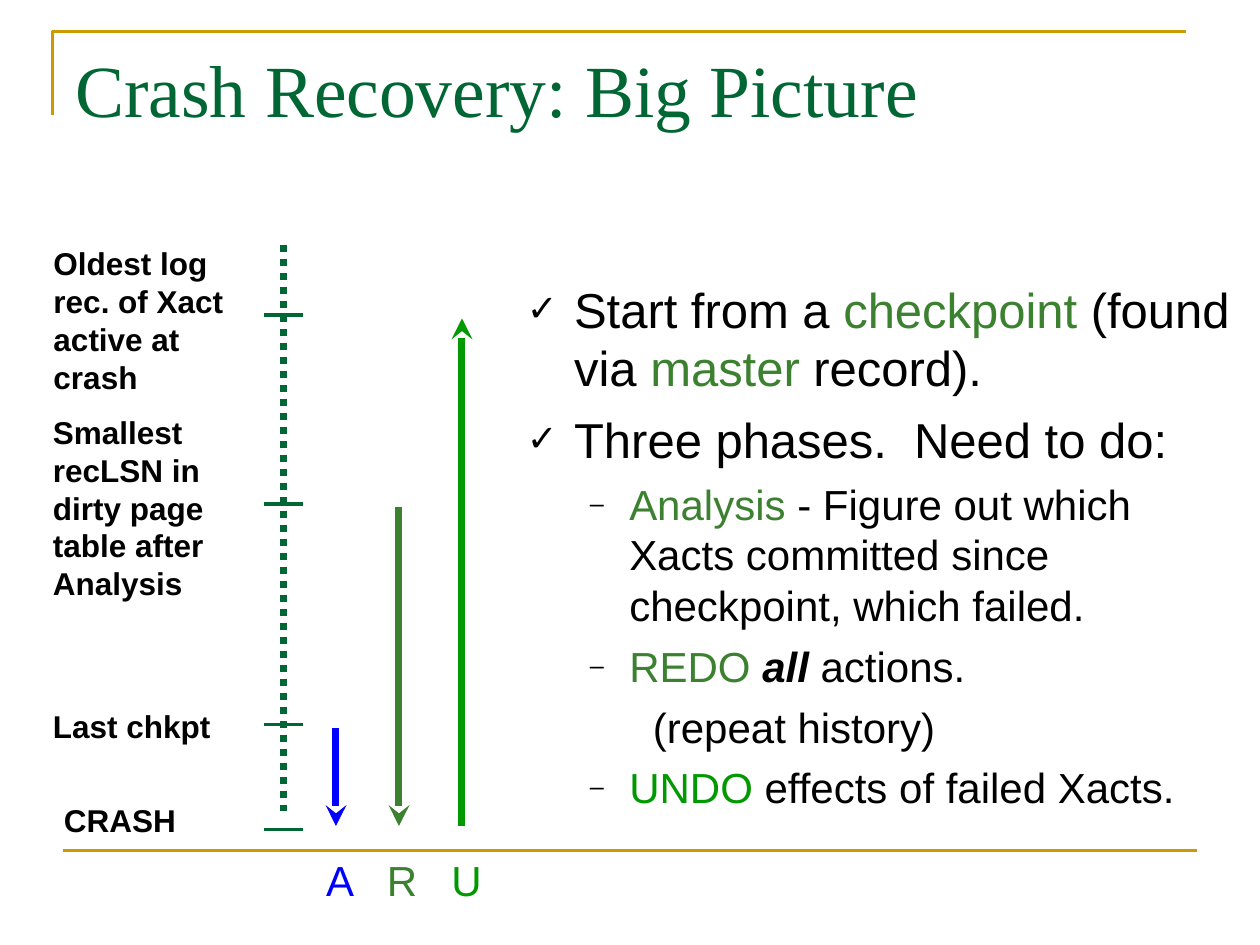
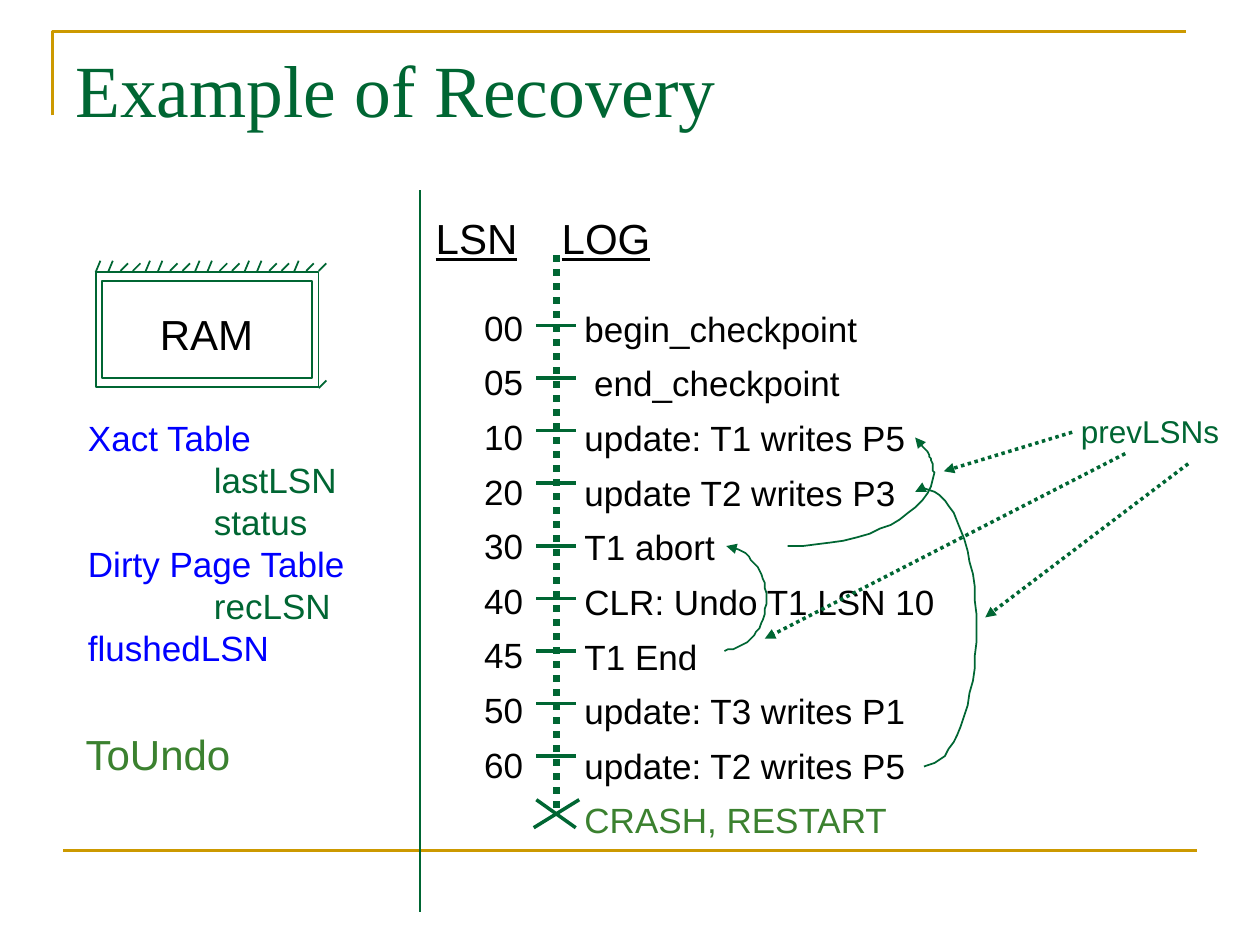
from dataclasses import dataclass, field

from lxml import etree
from pptx import Presentation
from pptx.dml.color import RGBColor
from pptx.enum.dml import MSO_LINE
from pptx.enum.shapes import MSO_CONNECTOR, MSO_SHAPE
from pptx.enum.text import MSO_ANCHOR, PP_ALIGN
from pptx.oxml.ns import qn
from pptx.util import Pt

STRAIGHT = MSO_CONNECTOR.STRAIGHT
RECTANGLE = MSO_SHAPE.RECTANGLE
DOTTED = MSO_LINE.ROUND_DOT
TOP = MSO_ANCHOR.TOP
RIGHT = PP_ALIGN.RIGHT


@dataclass(frozen=True)
class Theme:
    gold: str = "CC9900"
    green: str = "006633"
    leaf: str = "3B812F"
    bright: str = "009900"
    blue: str = "0000FF"
    black: str = "000000"
    body_font: str = "Arial"
    title_font: str = "Times New Roman"
    title: int = 42
    lead: int = 28
    large: int = 24
    normal: int = 20
    label: int = 18


THEME = Theme()


@dataclass
class Line:
    """One paragraph: runs are (text, font formats); lengths are in points."""
    runs: list
    formats: dict = field(default_factory=dict)
    left: float = 0
    hanging: float = 0
    bullet: str = ""
    bullet_percent: int = 100
    tab: float = 0


def add_element(parent, tag, **attributes):
    return etree.SubElement(parent, qn(tag), attributes)


def curve_points(start, segments, steps=16):
    """Sample a chain of cubic Bezier segments."""
    points = [start]
    for first, second, end in segments:
        for step in range(1, steps + 1):
            t = step / steps
            weights = ((1 - t) ** 3, 3 * t * (1 - t) ** 2, 3 * t * t * (1 - t), t ** 3)
            corners = (start, first, second, end)
            points.append(tuple(sum(weight * corner[axis] for weight, corner in zip(weights, corners))
                                for axis in (0, 1)))
        start = end
    return points


class Deck:
    def __init__(self, theme):
        self.theme = theme
        self.presentation = Presentation()
        self.presentation.slide_width = Pt(720)
        self.presentation.slide_height = Pt(540)
        self.slide = None

    def new_slide(self, title):
        theme = self.theme
        self.slide = self.presentation.slides.add_slide(self.presentation.slide_layouts[6])
        self.outline([(30, 66), (30, 18), (678, 18)], theme.gold, 1.5)
        self.line((36, 486), (684, 486), theme.gold, 1.5)
        self.text((36, 21.6, 648, 90), [title], theme.title, theme.green, font=theme.title_font)

    def style_line(self, shape, color, width, dash=None, head=None, tail=None):
        shape.line.color.rgb = RGBColor.from_string(color)
        shape.line.width = Pt(width)
        if dash:
            shape.line.dash_style = dash
        for tag, arrow in (("a:headEnd", head), ("a:tailEnd", tail)):
            if arrow:
                add_element(shape.line._get_or_add_ln(), tag, type=arrow)

    def line(self, start, end, color, width, **style):
        connector = self.slide.shapes.add_connector(STRAIGHT, *map(Pt, start + end))
        self.style_line(connector, color, width, **style)
        add_element(connector._element.spPr, "a:effectLst")

    def outline(self, points, color, width, **style):
        builder = self.slide.shapes.build_freeform(*points[0], scale=Pt(1))
        builder.add_line_segments(points[1:], close=False)
        shape = builder.convert_to_shape()
        shape.shadow.inherit = False
        shape.fill.background()
        self.style_line(shape, color, width, **style)

    def frame(self, box, color, width):
        shape = self.slide.shapes.add_shape(RECTANGLE, *map(Pt, box))
        shape.shadow.inherit = False
        shape.fill.background()
        self.style_line(shape, color, width)

    def text(self, box, lines, size, color, wrap=True, font=None, bold=False, formats=None):
        """Lines are Line objects or plain strings; formats apply to every paragraph."""
        text_frame = self.slide.shapes.add_textbox(*map(Pt, box)).text_frame
        text_frame.word_wrap = wrap
        text_frame.vertical_anchor = TOP
        base = {"name": font or self.theme.body_font, "size": size, "bold": bold, "color": color}
        for index, line in enumerate(lines):
            if isinstance(line, str):
                line = Line([(line, {})])
            paragraph = text_frame.paragraphs[0] if index == 0 else text_frame.add_paragraph()
            for name, value in {**(formats or {}), **line.formats}.items():
                setattr(paragraph, name, value)
            self.indent(paragraph, line)
            for content, changes in line.runs:
                run = paragraph.add_run()
                run.text = content
                self.style_font(run.font, {**base, **changes})

    def indent(self, paragraph, line):
        properties = paragraph._p.get_or_add_pPr()
        properties.set("marL", str(Pt(line.left)))
        properties.set("indent", str(Pt(-line.hanging)))
        if line.bullet:
            add_element(add_element(properties, "a:buClr"), "a:srgbClr", val=self.theme.black)
            add_element(properties, "a:buSzPct", val=str(line.bullet_percent * 1000))
            add_element(properties, "a:buFont", typeface=self.theme.body_font)
            add_element(properties, "a:buChar", char=line.bullet)
        else:
            add_element(properties, "a:buNone")
        if line.tab:
            add_element(add_element(properties, "a:tabLst"), "a:tab", pos=str(Pt(line.tab)), algn="l")

    def style_font(self, font, values):
        for name, value in values.items():
            if name == "color":
                font.color.rgb = RGBColor.from_string(value)
            else:
                setattr(font, name, Pt(value) if name == "size" else value)


def build_big_picture(deck):
    theme = deck.theme
    deck.new_slide("Crash Recovery: Big Picture")
    leaf = {"color": theme.leaf}

    def point(*runs, **formats):
        return Line(list(runs), formats, 27, 27, "✓", 75)

    def phase(*runs):
        runs = [(content, {"size": theme.large, **changes}) for content, changes in runs]
        return Line(runs, {"space_before": Pt(6)}, 58.5, 22.5, "–", 60)

    deck.text((294, 156, 426, 321), [
        point(("Start from a ", {}), ("checkpoint", leaf), (" (found via ", {}),
              ("master", leaf), (" record).", {})),
        point(("Three phases.  Need to do:", {}), space_before=Pt(7)),
        phase(("Analysis", leaf),
              (" - Figure out which Xacts committed since checkpoint, which failed.", {})),
        phase(("REDO ", leaf), ("all", {"bold": True, "italic": True}), (" actions.", {})),
        Line([("(repeat history)", {"size": theme.large})], {"space_before": Pt(6)}, 72),
        phase(("UNDO", {"color": theme.bright}), (" effects of failed Xacts.", {})),
    ], theme.lead, theme.black)

    deck.line((162, 140), (162, 466), theme.green, 4, dash=DOTTED)
    for left, top, height, label in (
        (23.5, 136, 94, "Oldest log rec. of Xact active at crash"),
        (23.2, 232.5, 115, "Smallest recLSN in dirty page table after Analysis"),
        (23.2, 400.5, 29, "Last chkpt"),
        (29.5, 454, 29, "CRASH"),
    ):
        deck.text((left, top, 132.5, height), [label], theme.label, theme.black, bold=True)
    for tick in (180, 288, 414, 474):
        deck.line((151, tick), (173, tick), theme.green, 2)

    for letter, x, top, left, color, arrow in (
        ("A", 192, 416, 179.3, theme.blue, "tail"),
        ("R", 228, 290, 214, theme.leaf, "tail"),
        ("U", 264, 182, 250.8, theme.bright, "head"),
    ):
        deck.line((x, top), (x, 472), color, 4, **{arrow: "stealth"})
        deck.text((left, 484.6, 31, 36), [letter], theme.large, color, wrap=False)


def draw_memory(deck):
    theme = deck.theme
    deck.text((84.3, 172.8, 67.7, 36), ["RAM"], theme.large, theme.black, wrap=False)
    deck.frame((54.7, 155.5, 127.4, 65.5), theme.green, 1)
    deck.frame((58.3, 160.6, 120.2, 55.4), theme.green, 1)
    for index, stroke in enumerate("ssffssffssffssffsff"):
        x = 54.7 + 7.08 * index
        if stroke == "s":
            deck.line((x, 155.5), (x + 2.7, 149), theme.green, 1)
        else:
            deck.line((x, 154.8), (x + 4.3, 150.5), theme.green, 1)
    deck.line((182.1, 221.8), (186.5, 217.4), theme.green, 1)

    def entry(content):
        return Line([(content, {"color": theme.green})], left=72)

    deck.text((43.2, 234.7, 163.4, 175), [
        "Xact Table", entry("lastLSN"), entry("status"),
        "Dirty Page Table", entry("recLSN"), "flushedLSN",
    ], theme.normal, theme.blue, wrap=False)
    deck.text((41.8, 412.6, 99.4, 36), ["ToUndo"], theme.large, theme.leaf, wrap=False)


def draw_log(deck):
    theme = deck.theme
    rows = {"line_spacing": 1.3}
    deck.text((326.9, 164.9, 214.6, 319), [
        "begin_checkpoint",
        Line([("end_checkpoint", {})], left=5.56),
        "update: T1 writes P5", "update T2 writes P3", "T1 abort",
        "CLR: Undo T1 LSN 10", "T1 End", "update: T3 writes P1", "update: T2 writes P5",
        Line([("CRASH, RESTART", {"color": theme.leaf})]),
    ], theme.normal, theme.black, wrap=False, formats=rows)
    deck.text((241.9, 164.2, 64.1, 288), ["00", "05", "10", "20", "30", "40", "45", "50", "60"],
              theme.normal, theme.black, formats={**rows, "alignment": RIGHT})
    deck.text((241.9, 118.1, 171.4, 36), [Line([("LSN\tLOG", {"underline": True})], tab=106.7)],
              theme.large, theme.black, wrap=False)

    deck.line((318, 146), (318, 466), theme.green, 4, dash=DOTTED)
    for row in range(9):
        tick = 186 + 30 * row + (6 if row >= 4 else 0)
        deck.line((306.5, tick), (329, tick), theme.green, 2)
    deck.line((306.5, 457), (329, 473), theme.green, 2)
    deck.line((331, 457), (305, 473), theme.green, 2)


def draw_previous_lsns(deck):
    theme = deck.theme
    deck.text((610.6, 231.8, 93.6, 29), ["prevLSNs"], theme.label, theme.green, wrap=False)
    for start, end in (
        ((612.7, 247), (539.3, 269.3)),
        ((643, 259.2), (437, 365)),
        ((679, 265), (563, 352.8)),
    ):
        deck.line(start, end, theme.green, 2, dash=DOTTED, tail="triangle")
    for start, *segments in (
        ((414.7, 312.5), ((427.7, 313.2), (437.8, 326.2), (437.8, 342)),
         ((437.8, 358.6), (427, 371.5), (414, 371.5))),
        ((522.7, 249.8), ((530, 256.3), (533.5, 262.8), (533.5, 270)),
         ((533.5, 293), (496, 311.8), (450, 311.8))),
        ((522.7, 280.8), ((524.9, 279.7), (526.3, 279.4), (528.5, 279.4)),
         ((544.3, 279.4), (558, 315.4), (558, 358.6)),
         ((558, 402.5), (544.3, 437.8), (528.5, 437.8))),
    ):
        deck.outline(curve_points(start, segments), theme.green, 1, head="triangle")


def build_example(deck):
    deck.new_slide("Example of Recovery")
    draw_log(deck)
    draw_memory(deck)
    deck.line((240, 108.7), (240, 521.3), deck.theme.green, 1)
    draw_previous_lsns(deck)


def main():
    deck = Deck(THEME)
    build_big_picture(deck)
    build_example(deck)
    deck.presentation.save("out.pptx")


if __name__ == "__main__":
    main()
